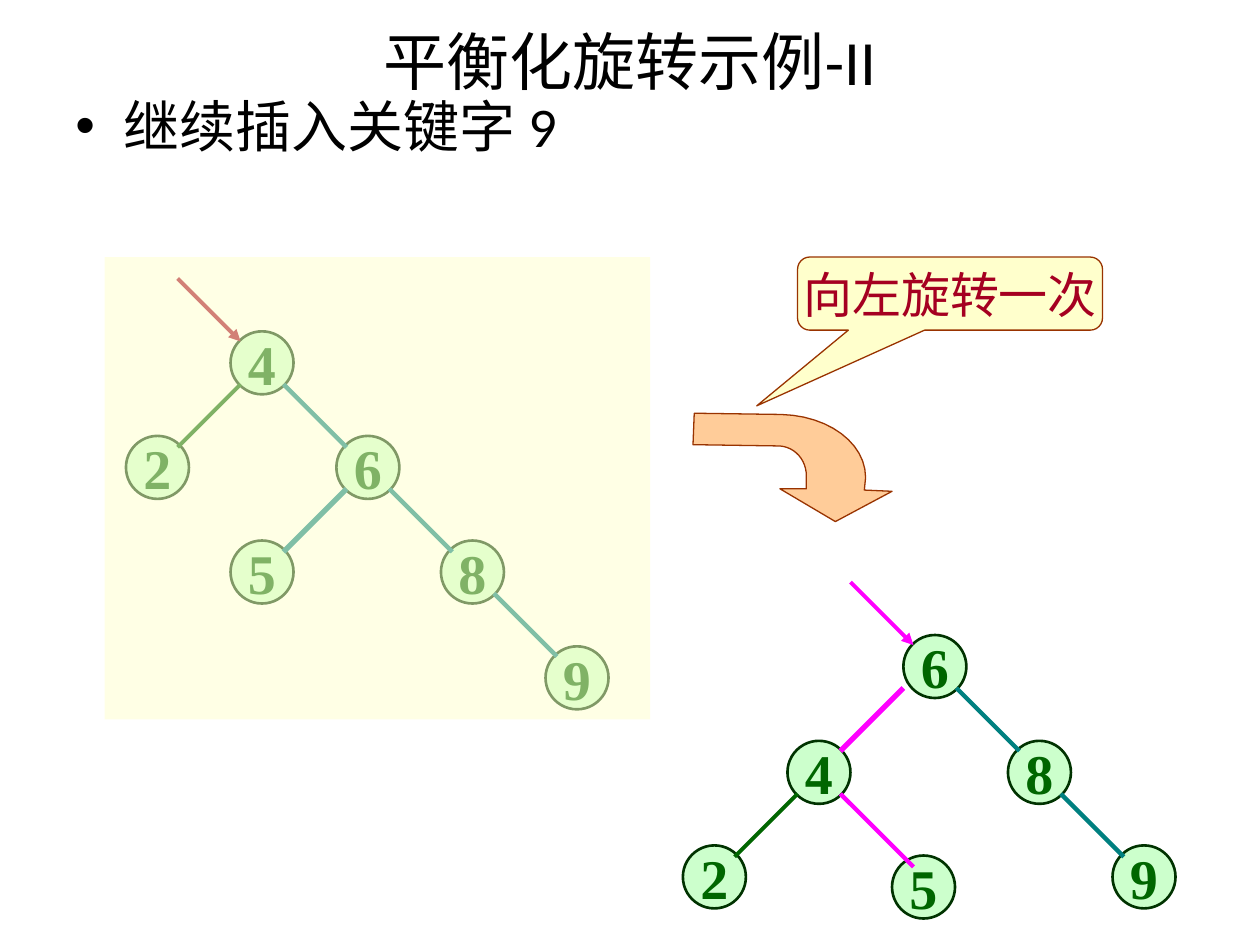
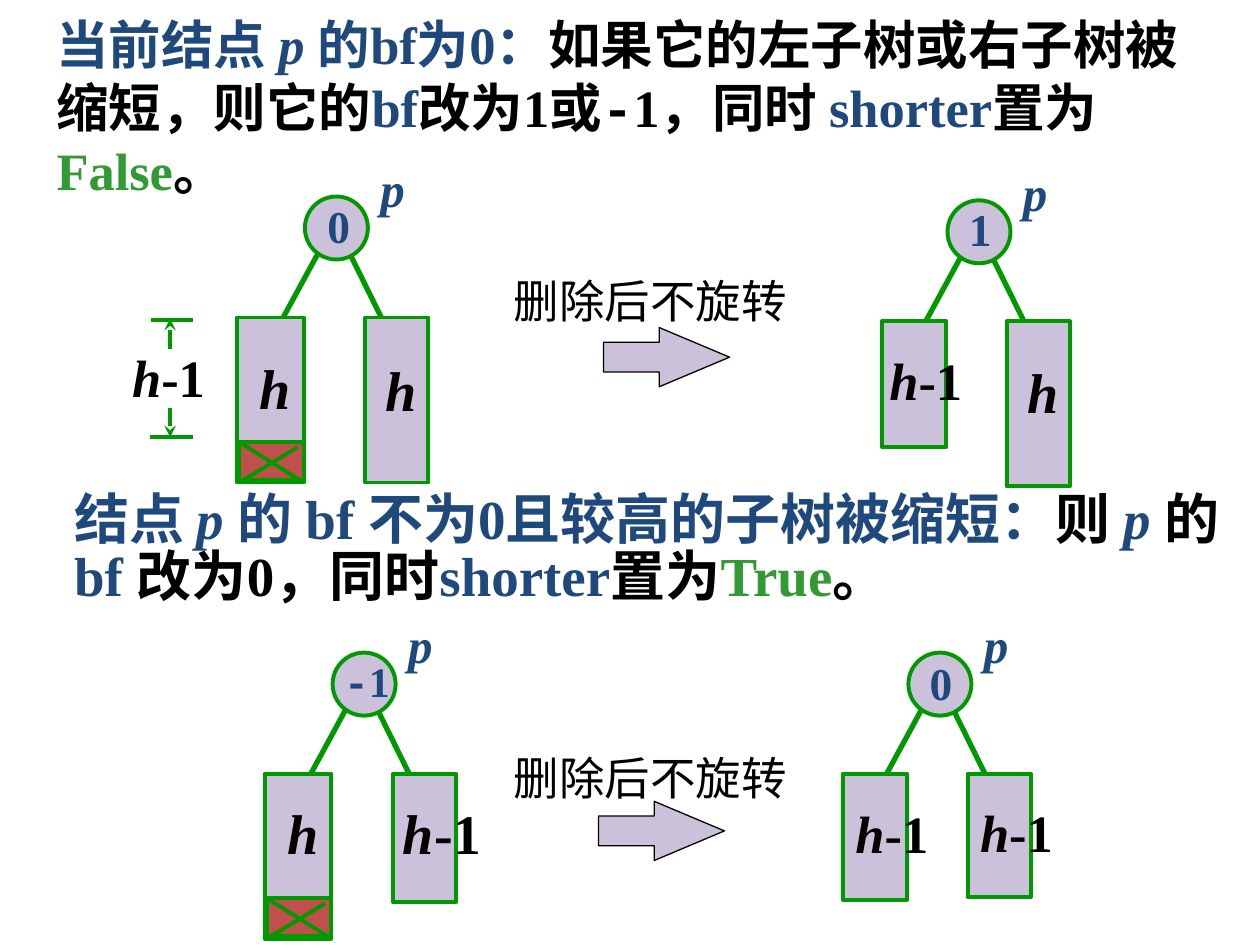
from lxml import etree
from pptx import Presentation
from pptx.dml.color import RGBColor
from pptx.enum.shapes import MSO_CONNECTOR, MSO_SHAPE
from pptx.enum.text import MSO_ANCHOR, PP_ALIGN
from pptx.oxml.ns import qn
from pptx.util import Inches, Pt

OVAL, RECTANGLE = MSO_SHAPE.OVAL, MSO_SHAPE.RECTANGLE
CALLOUT, RIGHT_ARROW = MSO_SHAPE.ROUNDED_RECTANGULAR_CALLOUT, MSO_SHAPE.RIGHT_ARROW
STRAIGHT = MSO_CONNECTOR.STRAIGHT
LEFT, CENTER = PP_ALIGN.LEFT, PP_ALIGN.CENTER
TOP, MIDDLE = MSO_ANCHOR.TOP, MSO_ANCHOR.MIDDLE

BLACK = RGBColor(0x00, 0x00, 0x00)
NAVY = RGBColor(0x1F, 0x49, 0x7D)
DARK_GREEN = RGBColor(0x00, 0x66, 0x00)
NODE_FILL = RGBColor(0xCC, 0xFF, 0xCC)
NODE_LINE = RGBColor(0x00, 0x33, 0x00)
TEAL = RGBColor(0x00, 0x80, 0x80)
MAGENTA = RGBColor(0xFF, 0x00, 0xFF)
CRIMSON = RGBColor(0xA5, 0x00, 0x21)
CREAM = RGBColor(0xFF, 0xFF, 0xCC)
PEACH = RGBColor(0xFF, 0xCC, 0x99)
BROWN = RGBColor(0x99, 0x33, 0x00)
LILAC = RGBColor(0xCC, 0xC1, 0xDA)
RED = RGBColor(0xC0, 0x50, 0x4D)
GREEN = RGBColor(0x00, 0x99, 0x00)
VALUE_GREEN = RGBColor(0x33, 0x99, 0x33)

SERIF, SANS, MONO = "Times New Roman", "Calibri", "Courier New"

# Search trees: node centres, and edges as
# (parent, side, colour, width, shift of the start, run)
NODE_SIZE = 0.5
EDGE_GAP = 0.17
EDGE_RUN = 0.5
TREE_BEFORE = {
    "nodes": {"4": (2.08, 2.88), "2": (1.25, 3.71), "6": (2.92, 3.71),
              "5": (2.08, 4.54), "8": (3.75, 4.54), "9": (4.58, 5.38)},
    "edges": [("4", -1, DARK_GREEN, 2.25, 0, EDGE_RUN),
              ("4", 1, TEAL, 2.5, 0, EDGE_RUN),
              ("6", -1, TEAL, 3, 0, EDGE_RUN),
              ("6", 1, TEAL, 2.5, 0, EDGE_RUN),
              ("8", 1, TEAL, 2.5, 0, EDGE_RUN)],
    "root": "4", "pointer": CRIMSON,
}
TREE_AFTER = {
    "nodes": {"6": (7.42, 5.29), "4": (6.5, 6.13), "8": (8.25, 6.13),
              "2": (5.67, 6.96), "5": (7.33, 7.04), "9": (9.08, 6.96)},
    "edges": [("6", -1, MAGENTA, 3, -0.08, EDGE_RUN),
              ("6", 1, TEAL, 2.5, 0, EDGE_RUN),
              ("4", -1, DARK_GREEN, 2.25, 0, EDGE_RUN),
              ("4", 1, MAGENTA, 2.5, 0, 0.58),
              ("8", 1, TEAL, 2.5, 0, EDGE_RUN)],
    "root": "6", "pointer": MAGENTA,
}

# Outline of the bent arrow: a point, or the three points of a curve
BENT_ARROW = [
    (6.63, 4.14), (7.08, 3.9), (6.86, 3.89), (6.87, 3.79),
    ((6.87, 3.52), (6.58, 3.3), (6.2, 3.29)),
    (5.51, 3.28), (5.5, 3.53), (6.19, 3.54),
    ((6.31, 3.55), (6.4, 3.65), (6.4, 3.78)),
    (6.4, 3.88), (6.19, 3.88),
]

# Rich text: runs of (text, changes from the paragraph's format)
BLACK_RUN, ITALIC, VALUE = {"color": BLACK}, {"italic": True}, {"color": VALUE_GREEN}
RULE_ZERO = [
    ("当前结点 ", {}), ("p ", ITALIC), ("的bf为0：", {}),
    ("如果它的左子树或右子树被缩短，则它的", BLACK_RUN), ("bf", {}),
    ("改为1或", BLACK_RUN), ("-", {"color": BLACK, "font": MONO}),
    ("1，同时 ", BLACK_RUN), ("shorter", {}), ("置为", BLACK_RUN),
    ("False", VALUE), ("。", BLACK_RUN),
]
RULE_TALLER = [
    ("结点 ", {}), ("p ", ITALIC), ("的 bf 不为0且较高的子树被缩短：", {}),
    ("则 ", BLACK_RUN), ("p ", ITALIC), ("的 ", BLACK_RUN), ("bf ", {}),
    ("改为0，同时", BLACK_RUN), ("shorter", {}), ("置为", BLACK_RUN),
    ("True", VALUE), ("。", BLACK_RUN),
]
H = [("h", ITALIC)]
H_MINUS_1 = H + [("-1", {})]
MINUS_1 = [("-", {"font": MONO}), ("1", {})]

# Subtree figures, placed from the corner of the root circle.
# Subtree: (left, width, height); label: (left, top, width, runs, size)
FIGURES = [
    {"at": (2.42, 1.56), "factor": ("0", 0.08, -0.04, 26), "cut": True,
     "subtrees": [(-0.54, 0.53, 1.31), (0.48, 0.5, 1.31)],
     "labels": [(-0.46, 1.2, 0.42, H, 32), (0.54, 1.21, 0.42, H, 32),
                (-1.47, 1.13, 0.83, H_MINUS_1, 30)]},
    {"at": (7.52, 1.59), "factor": ("1", 0.07, -0.04, 26), "cut": False,
     "subtrees": [(-0.52, 0.51, 1), (0.47, 0.5, 1.31)],
     "labels": [(-0.56, 1.12, 0.83, H_MINUS_1, 30), (0.54, 1.2, 0.42, H, 32)]},
    {"at": (2.64, 5.18), "factor": (MINUS_1, -0.01, -0.03, 24), "cut": True,
     "subtrees": [(-0.54, 0.53, 1.31), (0.48, 0.5, 1.02)],
     "labels": [(-0.46, 1.11, 0.42, H, 32), (0.46, 1.11, 0.87, H_MINUS_1, 32)]},
    {"at": (7.21, 5.18), "factor": ("0", 0.07, -0.03, 26), "cut": False,
     "subtrees": [(-0.52, 0.51, 1), (0.47, 0.5, 0.98)],
     "labels": [(-0.52, 1.13, 0.83, H_MINUS_1, 30),
                (0.47, 1.12, 0.83, H_MINUS_1, 30)]},
]
SUBTREE_TOP = 0.96

# Height mark beside the first figure: (from, to, has an arrowhead)
HEIGHT_MARK = [
    ((1.35, 3.24), (1.35, 3.47), True), ((1.19, 3.47), (1.53, 3.47), False),
    ((1.2, 2.54), (1.53, 2.54), False), ((1.35, 2.77), (1.35, 2.53), True),
]
# Steps without rotation: (label position, arrow position)
STEPS = [((3.98, 2.12), (4.79, 2.6)), ((3.98, 5.9), (4.75, 6.36))]


def write(shape, text, *, size, color=BLACK, font=SERIF, bold=False, align=LEFT,
          anchor=TOP, wrap=True, spacing=None, bullet_indent=None):
    frame = shape.text_frame
    frame.word_wrap = wrap
    frame.vertical_anchor = anchor
    paragraph = frame.paragraphs[0]
    paragraph.alignment = align
    if spacing:
        paragraph.line_spacing = spacing
    if bullet_indent:
        properties = paragraph._p.get_or_add_pPr()
        properties.set("marL", str(Inches(bullet_indent)))
        properties.set("indent", str(-Inches(bullet_indent)))
        etree.SubElement(properties, qn("a:buFont"), typeface="Arial")
        etree.SubElement(properties, qn("a:buChar"), char="•")
    for run_text, changes in [(text, {})] if isinstance(text, str) else text:
        run = paragraph.add_run()
        run.text = run_text
        run.font.size = Pt(size)
        run.font.bold = bold
        run.font.italic = changes.get("italic", False)
        run.font.name = changes.get("font", font)
        run.font.color.rgb = changes.get("color", color)


def add_text(slide, left, top, width, height, text, **text_format):
    box = slide.shapes.add_textbox(*map(Inches, (left, top, width, height)))
    write(box, text, **text_format)


def paint(shape, fill, line=None, line_width=0.75):
    shape.shadow.inherit = False
    shape.fill.solid()
    shape.fill.fore_color.rgb = fill
    if line is None:
        shape.line.fill.background()
    else:
        shape.line.color.rgb = line
        shape.line.width = Pt(line_width)


def add_shape(slide, kind, left, top, width, height, *colors):
    shape = slide.shapes.add_shape(kind, *map(Inches, (left, top, width, height)))
    paint(shape, *colors)
    return shape


def add_line(slide, start, end, color, width, head=None):
    line = slide.shapes.add_connector(STRAIGHT, *map(Inches, (*start, *end)))
    line.line.color.rgb = color
    line.line.width = Pt(width)
    if head:
        etree.SubElement(line.line._get_or_add_ln(), qn("a:tailEnd"), type=head)
    etree.SubElement(line._element.spPr, qn("a:effectLst"))


def add_tree(slide, tree):
    for key, (x, y) in tree["nodes"].items():
        node = add_shape(slide, OVAL, x - NODE_SIZE / 2, y - NODE_SIZE / 2,
                         NODE_SIZE, NODE_SIZE, NODE_FILL, NODE_LINE, 1.5)
        write(node, key, size=32, color=DARK_GREEN, bold=True, align=CENTER,
              anchor=MIDDLE, wrap=False)
    for parent, side, color, width, shift, run in tree["edges"]:
        x, y = tree["nodes"][parent]
        start = (x + side * EDGE_GAP + shift, y + EDGE_GAP)
        add_line(slide, start, (start[0] + side * run, start[1] + run), color, width)
    # Pointer to the root
    x, y = (value - EDGE_GAP for value in tree["nodes"][tree["root"]])
    add_line(slide, (x - EDGE_RUN, y - EDGE_RUN), (x, y), tree["pointer"], 2.25,
             "triangle")


def curve_points(start, first, second, end, steps=12):
    for step in range(1, steps + 1):
        t = step / steps
        weights = ((1 - t) ** 3, 3 * t * (1 - t) ** 2, 3 * t * t * (1 - t), t ** 3)
        yield tuple(sum(weight * point[axis] for weight, point
                        in zip(weights, (start, first, second, end)))
                    for axis in (0, 1))


def add_bent_arrow(slide):
    points = []
    for part in BENT_ARROW:
        if len(part) == 3:
            points.extend(curve_points(points[-1], *part))
        else:
            points.append(part)
    corners = [(Inches(x), Inches(y)) for x, y in points]
    builder = slide.shapes.build_freeform(*corners[0])
    builder.add_line_segments(corners[1:], close=True)
    paint(builder.convert_to_shape(), PEACH, BROWN)


def add_figure(slide, figure):
    left, top = figure["at"]

    def place(x, y):
        return left + x, top + y

    add_text(slide, *place(0.5, -0.35), 0.52, 0.57, [("p", ITALIC)], size=28,
             color=NAVY, bold=True)
    add_line(slide, place(0.34, 0.42), place(0.75, 1.25), GREEN, 3)
    add_line(slide, place(0.17, 0.33), place(-0.33, 1.25), GREEN, 3)
    add_shape(slide, OVAL, left, top, NODE_SIZE, NODE_SIZE, LILAC, GREEN, 2.25)
    for x, width, height in figure["subtrees"]:
        add_shape(slide, RECTANGLE, *place(x, SUBTREE_TOP), width, height,
                  LILAC, GREEN, 2.25)
    # Crossed-out level that the deletion removes
    if figure["cut"]:
        add_shape(slide, RECTANGLE, *place(-0.52, 1.95), 0.51, 0.3, RED, GREEN, 2.25)
        add_line(slide, place(-0.06, 1.99), place(-0.52, 2.27), GREEN, 2.25)
        add_line(slide, place(-0.52, 1.95), place(-0.01, 2.27), GREEN, 2.25)
    factor, x, y, size = figure["factor"]
    add_text(slide, *place(x, y), 0.58, 0.53, factor, size=size, color=NAVY, bold=True)
    for x, y, width, runs, size in figure["labels"]:
        add_text(slide, *place(x, y), width, 0.6, runs, size=size, bold=True)


def build_rotation_slide(slide):
    # Tree before the rotation, under a pale veil
    add_tree(slide, TREE_BEFORE)
    veil = add_shape(slide, RECTANGLE, 0.83, 2.04, 4.33, 3.67, CREAM)
    veil_color = veil._element.spPr.find(".//" + qn("a:srgbClr"))
    etree.SubElement(veil_color, qn("a:alpha"), val="50000")
    add_tree(slide, TREE_AFTER)
    # Rotation arrow and its callout
    add_bent_arrow(slide)
    callout = add_shape(slide, CALLOUT, 6.33, 2.04, 2.42, 0.58, CREAM, BROWN)
    for index, value in enumerate((-0.634, 1.536, 0.167)):
        callout.adjustments[index] = value
    write(callout, "向左旋转一次", size=28, color=CRIMSON, align=CENTER,
          anchor=MIDDLE, wrap=False)
    # Title and bullet
    add_text(slide, 0.5, -0.03, 9, 1.02, "平衡化旋转示例-II", size=36, font=SANS,
             align=CENTER, anchor=MIDDLE)
    add_text(slide, 0.5, 0.68, 9, 6.82, "继续插入关键字 9", size=32, font=SANS,
             bullet_indent=0.38)


def build_deletion_slide(slide):
    # Rules
    add_text(slide, 0.35, 0.05, 9.51, 1.92, RULE_ZERO, size=30, color=NAVY, bold=True)
    add_text(slide, 0.49, 3.88, 9.32, 1.05, RULE_TALLER, size=31.4, color=NAVY,
             bold=True, spacing=0.85)
    # Figures and the height mark
    for figure in FIGURES:
        add_figure(slide, figure)
    for start, end, pointed in HEIGHT_MARK:
        add_line(slide, start, end, GREEN, 2.25, "stealth" if pointed else None)
    # Steps from left to right
    for label_at, arrow_at in STEPS:
        add_text(slide, *label_at, 2.37, 0.53, "删除后不旋转", size=26, wrap=False)
        arrow = add_shape(slide, RIGHT_ARROW, *arrow_at, 1, 0.47, LILAC, BLACK)
        arrow.adjustments[1] = 1.186


def main():
    presentation = Presentation()
    presentation.slide_width, presentation.slide_height = Inches(10), Inches(7.5)
    blank = presentation.slide_layouts[6]
    for build in (build_rotation_slide, build_deletion_slide):
        build(presentation.slides.add_slide(blank))
    presentation.save("out.pptx")


if __name__ == "__main__":
    main()
